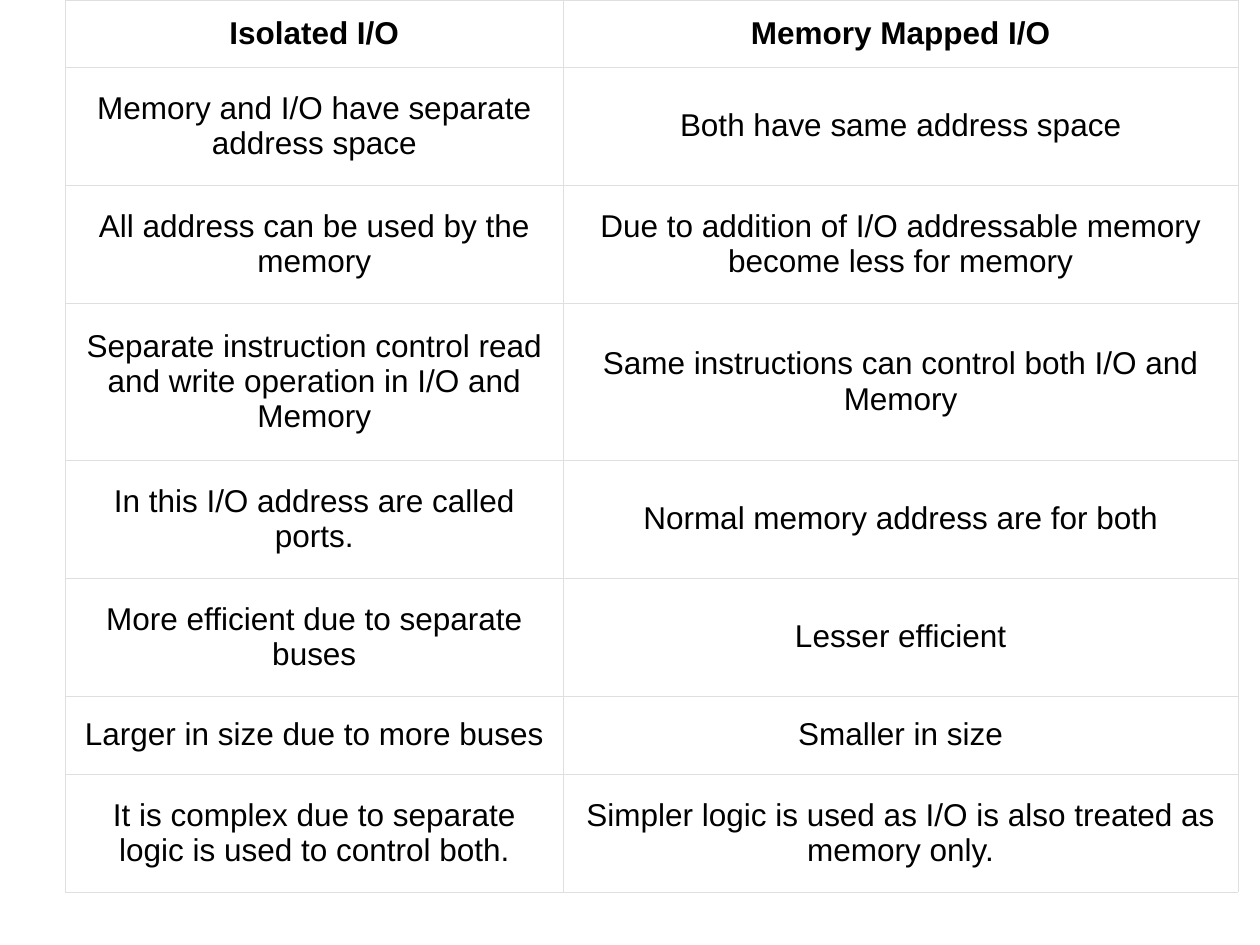
from lxml import etree
from pptx import Presentation, util as u
from pptx.dml.color import RGBColor
from pptx.enum import text
from pptx.oxml.ns import qn

HEADER = ("Isolated I/O", "Memory Mapped I/O")
COMPARISON = [
    ("Memory and I/O have separate address space", "Both have same address space"),
    ("All address can be used by the memory",
     "Due to addition of I/O addressable memory become less for memory"),
    ("Separate instruction control read and write operation in I/O and Memory",
     "Same instructions can control both I/O and Memory"),
    ("In this I/O address are called ports.", "Normal memory address are for both"),
    ("More efficient due to separate buses", "Lesser efficient"),
    ("Larger in size due to more buses", "Smaller in size"),
    ("It is complex due to separate logic is used to control both.",
     "Simpler logic is used as I/O is also treated as memory only."),
]
ROWS = [HEADER] + COMPARISON
COLORS = {"text": "000000", "cell": "FFFFFF", "border": "DFDFDF"}
COL_WIDTHS = (10.03, 13.61)
HEADER_HEIGHT = 1.35
HEIGHT_BY_LINES = {1: 1.57, 2: 2.38, 3: 3.16}
LINES = (2, 2, 3, 2, 2, 1, 2)
LEFT, TOP = 1.32, 0
BORDER_WIDTH = 0.23


def add_borders(cell):
    tc_pr = cell._tc.get_or_add_tcPr()
    for side in ("lnL", "lnR", "lnT", "lnB"):
        ln = etree.SubElement(tc_pr, qn(f"a:{side}"), w=str(u.Pt(BORDER_WIDTH)))
        fill = etree.SubElement(ln, qn("a:solidFill"))
        etree.SubElement(fill, qn("a:srgbClr"), val=COLORS["border"])


def fill_cell(cell, wording, margin_x, margin_y, bold):
    add_borders(cell)
    cell.fill.solid()
    cell.fill.fore_color.rgb = RGBColor.from_string(COLORS["cell"])
    cell.margin_left = cell.margin_right = u.Cm(margin_x)
    cell.margin_top = cell.margin_bottom = u.Cm(margin_y)
    cell.vertical_anchor = text.MSO_ANCHOR.MIDDLE
    p = cell.text_frame.paragraphs[0]
    p.alignment = text.PP_ALIGN.CENTER
    r = p.add_run()
    r.text = wording
    r.font.name, r.font.size, r.font.bold = "Arial", u.Pt(18), bold
    r.font.color.rgb = RGBColor.from_string(COLORS["text"])


def main():
    prs = Presentation()
    prs.slide_width, prs.slide_height = u.Cm(25.4), u.Cm(19.05)
    s = prs.slides.add_slide(prs.slide_layouts[6])

    heights = [HEADER_HEIGHT] + [HEIGHT_BY_LINES[n] for n in LINES]
    table = s.shapes.add_table(
        len(ROWS), len(COL_WIDTHS), u.Cm(LEFT), u.Cm(TOP),
        u.Cm(sum(COL_WIDTHS)), u.Cm(sum(heights))).table
    table.first_row = table.horz_banding = False
    for column, width in zip(table.columns, COL_WIDTHS):
        column.width = u.Cm(width)

    for i, (wordings, height) in enumerate(zip(ROWS, heights)):
        table.rows[i].height = u.Cm(height)
        is_header = i == 0
        for j, wording in enumerate(wordings):
            margin_x = 0.1 if is_header and j == 0 else 0.25
            margin_y = 0.25 if is_header else 0.38
            fill_cell(table.cell(i, j), wording, margin_x, margin_y, is_header)

    prs.save("out.pptx")


if __name__ == "__main__":
    main()
